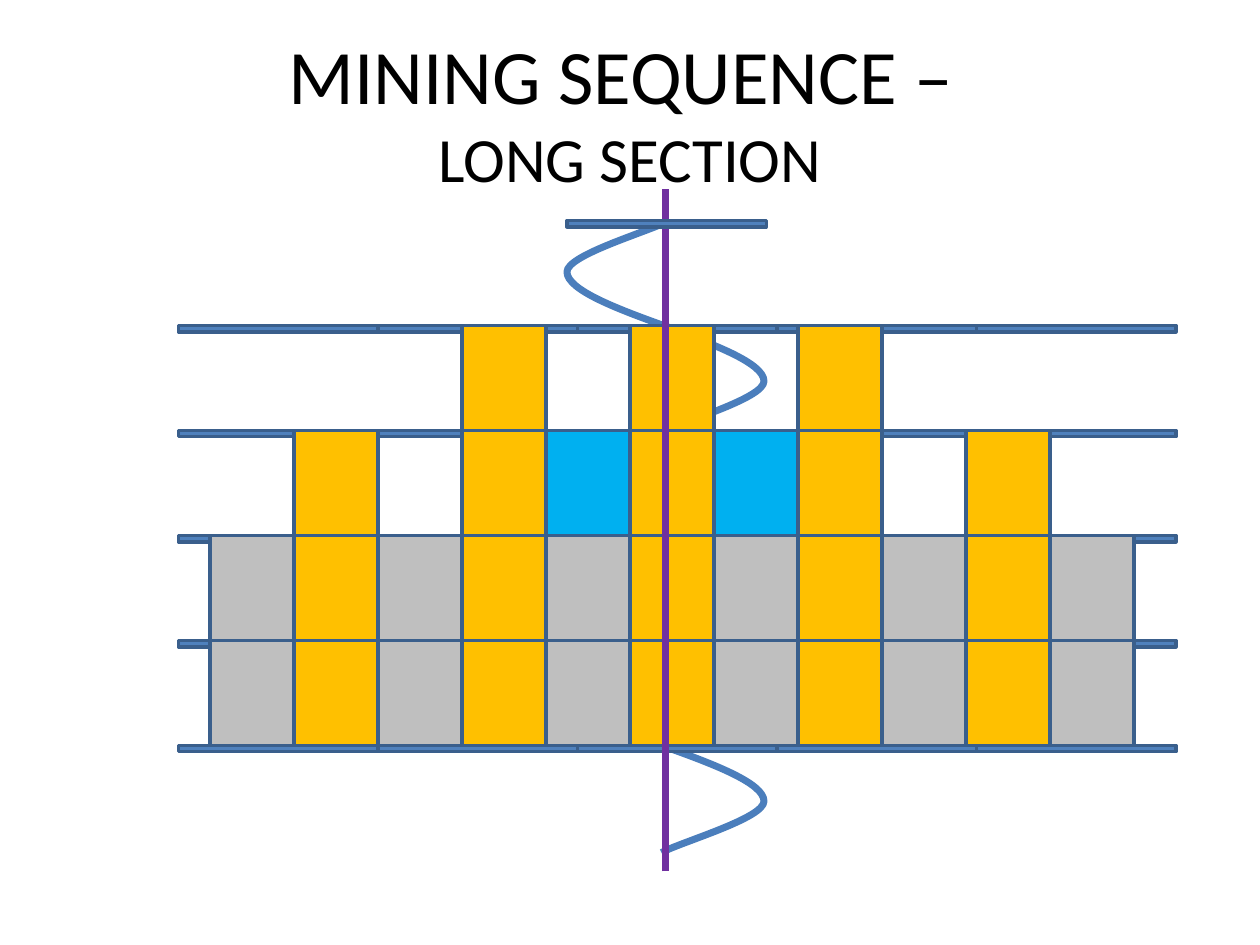
from dataclasses import dataclass

from lxml.etree import SubElement
from pptx import Presentation
from pptx.dml.color import RGBColor
from pptx.enum.shapes import MSO_CONNECTOR, MSO_SHAPE
from pptx.enum.text import MSO_ANCHOR, PP_ALIGN
from pptx.oxml.ns import qn
from pptx.util import Inches, Pt


@dataclass(frozen=True)
class Theme:
    font: str = "Calibri"
    title_size: int = 44
    subtitle_size: int = 36
    text: str = "000000"
    drift: str = "4F81BD"
    outline: str = "3A5F8C"
    ramp: str = "4B7EBC"
    shaft: str = "7030A0"
    outline_width: int = 2
    heavy_width: int = 4


theme = Theme()
block_colours = {"O": "FFC000", "B": "00B0F0", "G": "BFBFBF"}

presentation = Presentation()
presentation.slide_width = Inches(10)
presentation.slide_height = Inches(7.5)
slide = presentation.slides.add_slide(presentation.slide_layouts[6])

# The mine is drawn on a grid of 15 columns and 9 rows.
column = presentation.slide_width / 15
row = presentation.slide_height / 9
level_tops = [(2.1 + level) * row for level in range(6)]
drift_left, drift_length, drift_height = 2.125 * column, 2.375 * column, 0.06 * row
block_left = 2.5 * column


def add_box(left, top, width, height, colour):
    box = slide.shapes.add_shape(
        MSO_SHAPE.RECTANGLE, round(left), round(top), round(width), round(height))
    box.shadow.inherit = False
    box.fill.solid()
    box.fill.fore_color.rgb = RGBColor.from_string(colour)
    box.line.color.rgb = RGBColor.from_string(theme.outline)
    box.line.width = Pt(theme.outline_width)


def bend_segment(segment, points):
    """Turn a straight freeform segment into a cubic curve through its three points."""
    curve = segment.makeelement(qn("a:cubicBezTo"))
    for x, y in points:
        SubElement(curve, qn("a:pt"), x=str(round(x * ramp_width)),
                   y=str(round(y * ramp_height)))
    segment.getparent().replace(segment, curve)


# Ramps: one half-turn per level, alternately left and right of the shaft.
# Points are shares of the ramp's width and height.
ramp_width, ramp_height = 1.22 * column, 1.02 * row
ramp_start = (1, 1)
ramp_curves = [
    [(0.5, 0.83), (0, 0.65), (0, 0.48)],
    [(0, 0.32), (0.81, 0.1), (1, 0)],
]
for level, top in enumerate(level_tops):
    turns_right = level % 2 == 1
    left = (7.875 if turns_right else 6.75) * column
    start, *ends = [(round(x * ramp_width), round(y * ramp_height))
                    for x, y in [ramp_start] + [curve[-1] for curve in ramp_curves]]
    builder = slide.shapes.build_freeform(*start)
    builder.add_line_segments(ends, close=False)
    ramp = builder.convert_to_shape(round(left), round(top))
    segments = ramp._element.findall(".//" + qn("a:lnTo"))
    for segment, curve in zip(segments, ramp_curves):
        bend_segment(segment, curve)
    ramp.shadow.inherit = False
    ramp.fill.background()
    ramp.line.color.rgb = RGBColor.from_string(theme.ramp)
    ramp.line.width = Pt(theme.heavy_width)
    ramp.rotation = 180 if turns_right else 0

# Drifts: five segments on every level below the top one
for top in level_tops[1:]:
    for position in range(5):
        add_box(drift_left + position * drift_length, top,
                drift_length, drift_height, theme.drift)

# Mined blocks, one string per level
block_map = [
    "...O.O.O...",
    ".O.OBOBO.O.",
    "GOGOGOGOGOG",
    "GOGOGOGOGOG",
]
for top, blocks in zip(level_tops[1:], block_map):
    for position, block in enumerate(blocks):
        if block in block_colours:
            add_box(block_left + position * column, top, column, row,
                    block_colours[block])

# Shaft, with the top drift in front of it
shaft_x = round(7.92 * column)
shaft = slide.shapes.add_connector(
    MSO_CONNECTOR.STRAIGHT, shaft_x, round(8.3 * row), shaft_x, round(1.8 * row))
shaft.line.color.rgb = RGBColor.from_string(theme.shaft)
shaft.line.width = Pt(theme.heavy_width)
SubElement(shaft._element.spPr, qn("a:effectLst"))
add_box(6.75 * column, level_tops[0], drift_length, drift_height, theme.drift)

# Title
title = slide.shapes.add_textbox(
    round(0.75 * column), round(0.2 * row), round(13.5 * column), round(1.5 * row))
title_frame = title.text_frame
title_frame.word_wrap = True
title_frame.vertical_anchor = MSO_ANCHOR.TOP
title_lines = [("MINING SEQUENCE – ", theme.title_size),
               ("LONG SECTION", theme.subtitle_size)]
for index, (words, size) in enumerate(title_lines):
    paragraph = title_frame.add_paragraph() if index else title_frame.paragraphs[0]
    paragraph.alignment = PP_ALIGN.CENTER
    run = paragraph.add_run()
    run.text = words
    run.font.name = theme.font
    run.font.size = Pt(size)
    run.font.color.rgb = RGBColor.from_string(theme.text)

presentation.save("out.pptx")
